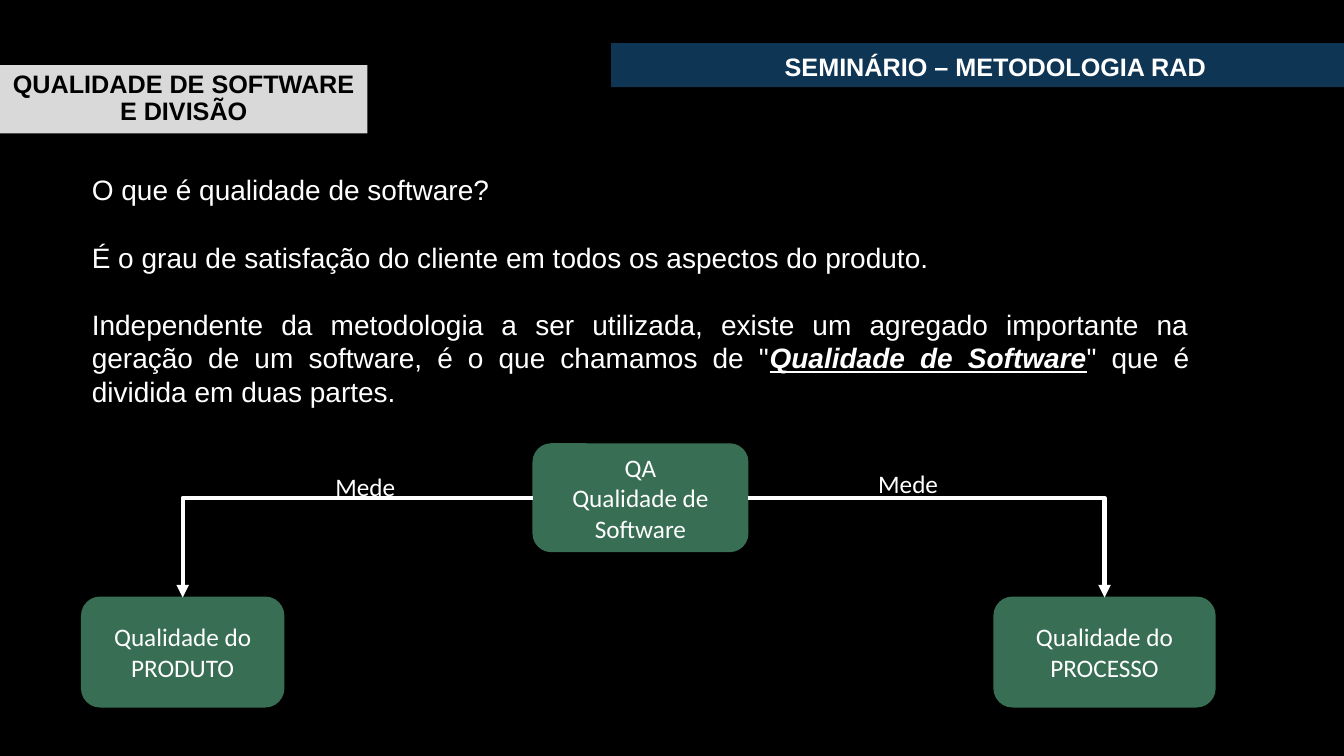
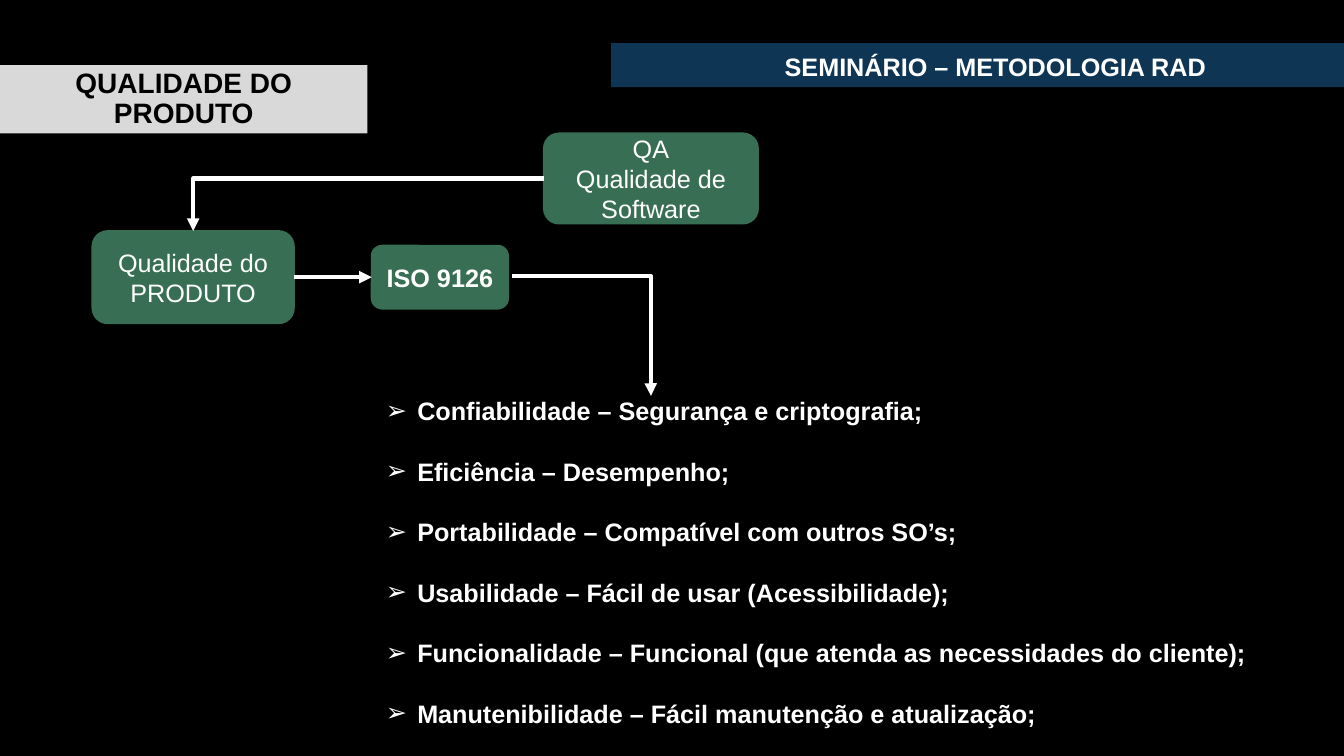
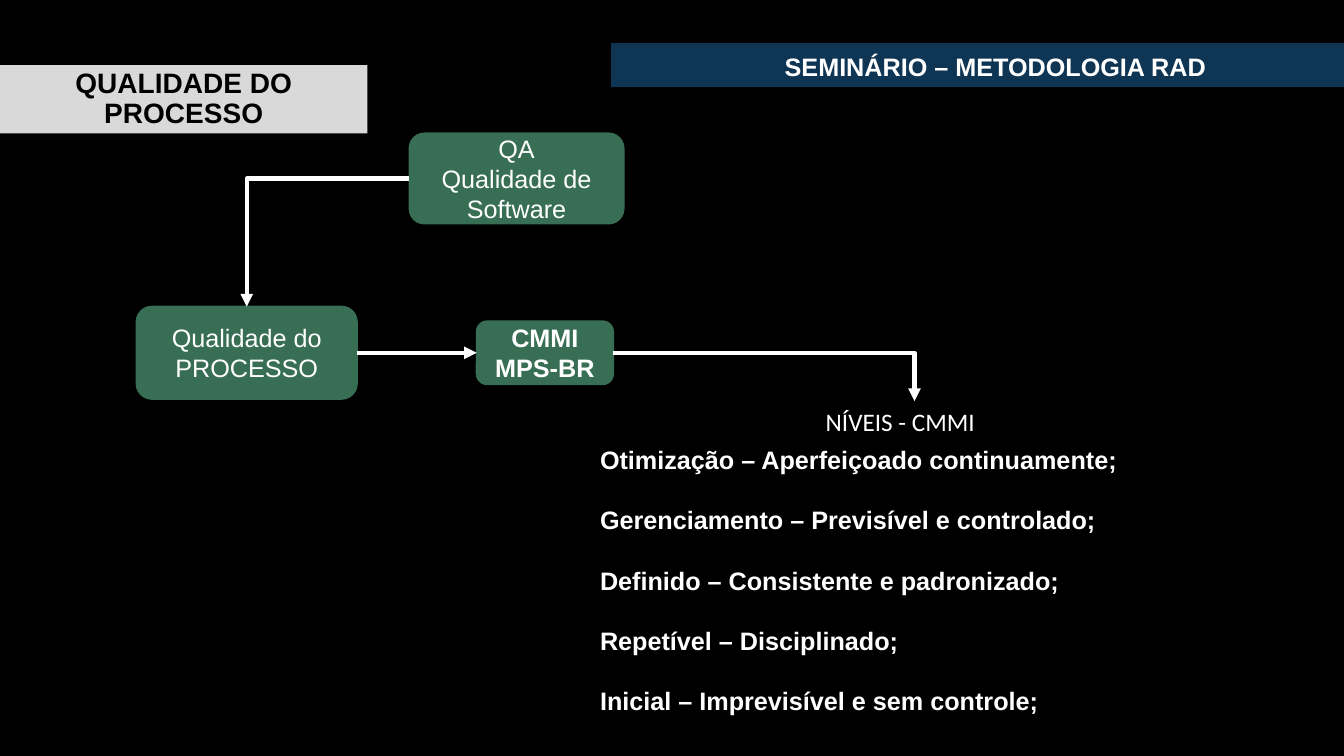
from pptx import Presentation
from pptx.dml.color import RGBColor
from pptx.enum.shapes import MSO_CONNECTOR as Line, MSO_SHAPE as Shape
from pptx.enum.text import MSO_ANCHOR as Anchor, PP_ALIGN as Align
from pptx.oxml.ns import qn
from pptx.util import Pt
from lxml.etree import SubElement

PX = 9525
BLACK, WHITE, GREY, NAVY, GREEN = "000000", "FFFFFF", "D9D9D9", "0E3554", "386F54"
TOP, LEFT, BOTTOM, RIGHT = range(4)
QA = ["QA", "Qualidade de Software"]


def color(value):
    """Turn a hex string into a colour."""
    return RGBColor.from_string(value)


def scale(*lengths):
    """Turn px lengths into EMU."""
    return [length * PX for length in lengths]


def add_bullet(para):
    """Give a paragraph a hanging arrow bullet."""
    props = para._p.get_or_add_pPr()
    props.set("marL", str(30 * PX))
    props.set("indent", str(-30 * PX))
    SubElement(props, qn("a:buFont"), typeface="Arial")
    SubElement(props, qn("a:buChar"), char="➢")


def write(box, paras, size=18, font="Arial", ink=WHITE, bold=False, align=Align.LEFT,
          anchor=Anchor.TOP, gap=0, line=None, bullet=False):
    """Fill a box with paragraphs, each a string or a list of (text, emphasis) spans."""
    frame = box.text_frame
    frame.word_wrap = True
    frame.vertical_anchor = anchor
    for index, spans in enumerate(paras):
        para = frame.paragraphs[0] if index == 0 else frame.add_paragraph()
        para.alignment = align
        if line:
            para.line_spacing = line
        if index and gap:
            para.space_before = Pt(gap)
        if bullet:
            add_bullet(para)
        para.font.name, para.font.size, para.font.bold = font, Pt(size), bold
        para.font.color.rgb = color(ink)
        for text, emphasis in [(spans, False)] if isinstance(spans, str) else spans:
            span = para.add_run()
            span.text = text
            if emphasis:
                span.font.bold = span.font.italic = span.font.underline = True
    return box


def add_text(page, place, paras, **style):
    """Add a text box."""
    return write(page.shapes.add_textbox(*scale(*place)), paras, **style)


def add_block(page, kind, place, fill, paras, anchor=Anchor.MIDDLE, **style):
    """Add a filled shape with centred text."""
    box = page.shapes.add_shape(kind, *scale(*place))
    box.shadow.inherit = False
    box.fill.solid()
    box.fill.fore_color.rgb = color(fill)
    box.line.fill.background()
    return write(box, paras, align=Align.CENTER, anchor=anchor, **style)


def add_node(page, place, paras, **style):
    """Add a rounded green diagram node."""
    node = add_block(page, Shape.ROUNDED_RECTANGLE, place, GREEN, paras, **style)
    node.line.color.rgb = color(GREEN)
    node.line.width = Pt(1.25)
    return node


def add_arrow(page, kind, ends=(0, 0, 0, 0)):
    """Add a white line with an arrowhead at its end."""
    arrow = page.shapes.add_connector(kind, *scale(*ends))
    arrow.line.color.rgb = color(WHITE)
    arrow.line.width = Pt(3)
    SubElement(arrow.line._get_or_add_ln(), qn("a:tailEnd"), type="triangle")
    SubElement(arrow._element.spPr, qn("a:effectLst"))
    return arrow


def join(page, source, target):
    """Join two nodes side by side with a straight arrow."""
    arrow = add_arrow(page, Line.STRAIGHT)
    arrow.begin_connect(source, RIGHT)
    arrow.end_connect(target, LEFT)


def join_down(page, source, side, target):
    """Join the side of a node to the top of a target with a single bend."""
    arrow = add_arrow(page, Line.ELBOW)
    arrow._element.spPr.find(qn("a:prstGeom")).set("prst", "bentConnector2")
    arrow.begin_connect(source, side)
    arrow.end_connect(target, TOP)


def drop_to(page, ends):
    """Draw a free arrow that runs across and then down."""
    geometry = add_arrow(page, Line.ELBOW, ends)._element.spPr.find(qn("a:prstGeom"))
    guides = geometry.find(qn("a:avLst"))
    if guides is None:
        guides = SubElement(geometry, qn("a:avLst"))
    SubElement(guides, qn("a:gd"), name="adj1", fmla="val 99800")


def add_page(deck, title, size=20):
    """Add a black slide with its title and the seminar band."""
    page = deck.slides.add_slide(deck.slide_layouts[6])
    page.background.fill.solid()
    page.background.fill.fore_color.rgb = color(BLACK)
    add_block(page, Shape.RECTANGLE, (0, 62, 350, 65), GREY, [title],
              size=size, ink=BLACK, bold=True, line=0.9)
    add_block(page, Shape.RECTANGLE, (582, 41, 732, 42), NAVY, ["SEMINÁRIO – METODOLOGIA RAD"],
              anchor=Anchor.BOTTOM, bold=True, line=0.9)
    return page


def build_overview(deck):
    """Build the slide on software quality and its two parts."""
    page = add_page(deck, "QUALIDADE DE SOFTWARE E DIVISÃO", 18)
    add_text(page, (78, 160, 1064, 236), [
        "O que é qualidade de software?",
        "É o grau de satisfação do cliente em todos os aspectos do produto.",
        [("Independente da metodologia a ser utilizada, existe um agregado importante na "
          "geração de um software, é o que chamamos de \"", False),
         ("Qualidade de Software", True),
         ("\" que é dividida em duas partes.", False)],
    ], size=20, align=Align.JUSTIFY, gap=24)
    quality = add_node(page, (508, 423, 204, 102), QA, font="Calibri")
    process = add_node(page, (947, 569, 210, 104), ["Qualidade do PROCESSO"], font="Calibri")
    product = add_node(page, (78, 569, 192, 104), ["Qualidade do PRODUTO"], font="Calibri")
    join_down(page, quality, RIGHT, process)
    join_down(page, quality, LEFT, product)
    for left, top in ((310, 444), (827, 441)):
        add_text(page, (left, top, 83, 38), ["Mede"], font="Calibri")


def build_product(deck):
    """Build the slide on product quality."""
    page = add_page(deck, "QUALIDADE DO PRODUTO")
    standard = add_node(page, (354, 234, 130, 60), ["ISO 9126"], bold=True)
    quality = add_node(page, (518, 127, 204, 86), QA)
    product = add_node(page, (88, 220, 192, 88), ["Qualidade do PRODUTO"])
    join(page, product, standard)
    join_down(page, quality, LEFT, product)
    add_text(page, (358, 372, 847, 329), [
        "Confiabilidade – Segurança e criptografia;",
        "Eficiência – Desempenho;",
        "Portabilidade – Compatível com outros SO’s;",
        "Usabilidade – Fácil de usar (Acessibilidade);",
        "Funcionalidade – Funcional (que atenda as necessidades do cliente);",
        "Manutenibilidade – Fácil manutenção e atualização;",
    ], bold=True, gap=21.6, bullet=True)
    drop_to(page, (488, 263, 620, 377))


def build_process(deck):
    """Build the slide on process quality."""
    page = add_page(deck, "QUALIDADE DO PROCESSO")
    models = add_node(page, (454, 306, 130, 60), ["CMMI", "MPS-BR"], bold=True)
    levels = add_text(page, (777, 382, 188, 38), ["NÍVEIS - CMMI"], font="Calibri")
    quality = add_node(page, (390, 127, 204, 86), QA)
    process = add_node(page, (130, 292, 210, 88), ["Qualidade do PROCESSO"])
    join_down(page, quality, LEFT, process)
    join(page, process, models)
    add_text(page, (562, 418, 525, 272), [
        "Otimização – Aperfeiçoado continuamente;",
        "Gerenciamento – Previsível e controlado;",
        "Definido – Consistente e padronizado;",
        "Repetível – Disciplinado;",
        "Inicial – Imprevisível e sem controle;",
    ], bold=True, gap=21.6)
    join_down(page, models, RIGHT, levels)


def main():
    """Build and save the deck."""
    deck = Presentation()
    deck.slide_width, deck.slide_height = scale(1280, 720)
    build_overview(deck)
    build_product(deck)
    build_process(deck)
    deck.save("out.pptx")


if __name__ == "__main__":
    main()
